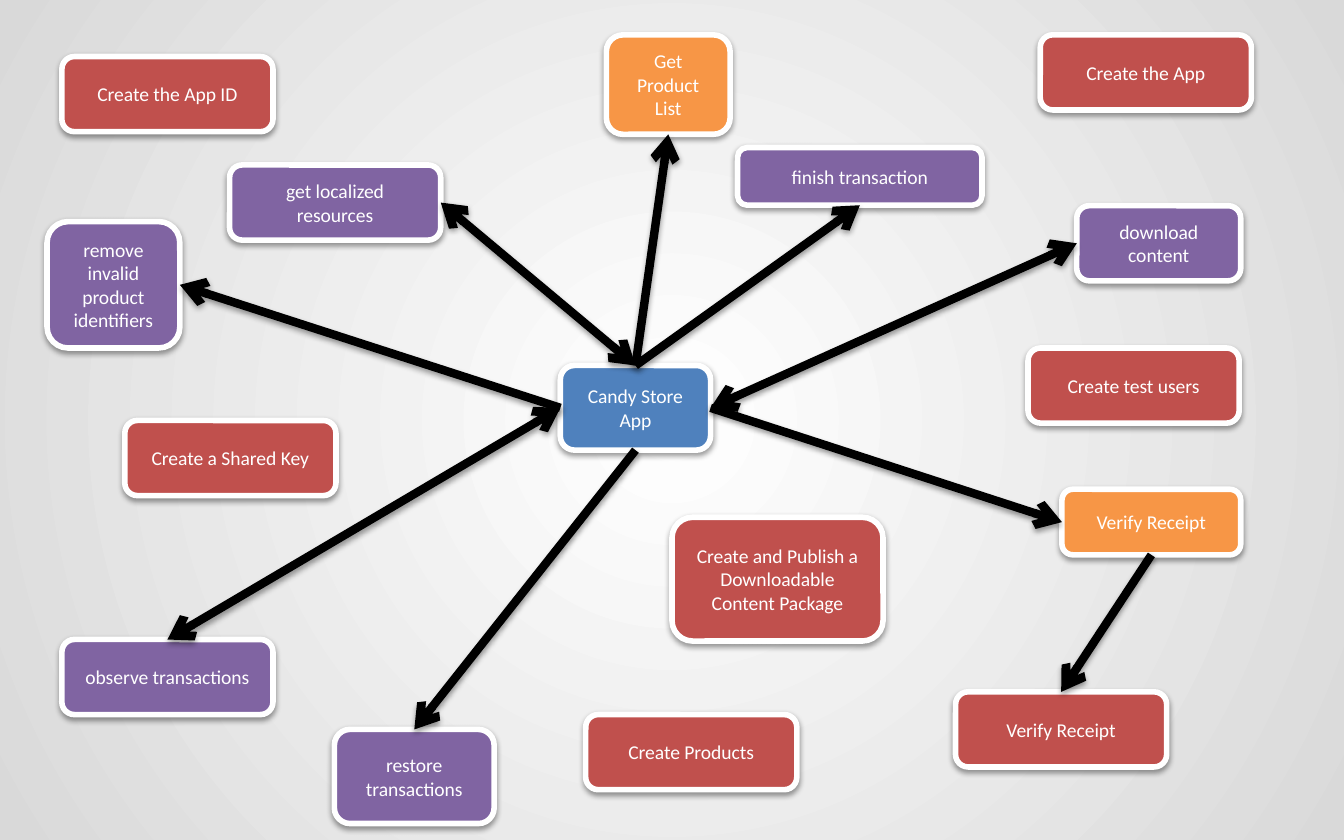
"""Build the in-app purchase mind map slide for the Candy Store app."""
import lxml.etree
import pptx
import pptx.dml.color
import pptx.enum.shapes
import pptx.enum.text
import pptx.oxml
import pptx.oxml.ns
import pptx.util
from dataclasses import dataclass

Cm = pptx.util.Cm
Pt = pptx.util.Pt
qn = pptx.oxml.ns.qn


@dataclass(frozen=True)
class Theme:
    font: str = "Calibri"
    text_size: float = 10.5
    text: str = "FFFFFF"
    outline: str = "FFFFFF"
    outline_width: float = 3
    arrow: str = "000000"
    arrow_width: float = 4.5
    bg_inner: str = "FFFFFF"
    bg_outer: str = "D9D9D9"
    app: str = "4F81BD"
    code: str = "8064A2"
    request: str = "F79646"
    setup: str = "C0504D"


THEME = Theme()
SLIDE_SIZE = (25.4, 15.88)
STANDARD = (3.99, 1.42)
TOP, LEFT, BOTTOM, RIGHT = range(4)

BOXES = {
    "app": ("Candy Store\nApp", THEME.app, (10.59, 6.91), (2.84, 1.6)),
    "observe": ("observe transactions", THEME.code, (1.17, 12.09), STANDARD),
    "products": ("Get Product List", THEME.request, (11.46, 0.66), (2.34, 1.88)),
    "verify": ("Verify Receipt", THEME.request, (20.07, 9.25), (3.38, 1.24)),
    "server": ("Verify Receipt", THEME.setup, (18.06, 13.08), STANDARD),
    "finish": ("finish transaction", THEME.code, (13.94, 2.79), (4.62, 1.09)),
    "restore": ("restore transactions", THEME.code, (6.32, 13.79), (3.02, 1.78)),
    "download": ("download\ncontent", THEME.code, (20.35, 3.89), (3.1, 1.42)),
    "localize": ("get localized resources", THEME.code, (4.34, 3.12), STANDARD),
    "remove": ("remove invalid product identifiers", THEME.code, (0.89, 4.19), (2.51, 2.39)),
    "app_id": ("Create the App ID", THEME.setup, (1.17, 1.07), STANDARD),
    "testers": ("Create test users", THEME.setup, (19.43, 6.58), STANDARD),
    "create_app": ("Create the App", THEME.setup, (19.66, 0.66), STANDARD),
    "shared_key": ("Create a Shared Key", THEME.setup, (2.36, 7.95), STANDARD),
    "create_products": ("Create Products", THEME.setup, (11.07, 13.51), STANDARD),
    "publish": ("Create and Publish a Downloadable Content Package",
                THEME.setup, (12.7, 9.78), (3.99, 2.34)),
}

ARROWS = [
    ("app", RIGHT, "verify", LEFT, False),
    ("verify", BOTTOM, "server", TOP, False),
    ("app", LEFT, "observe", TOP, True),
    ("app", TOP, "finish", BOTTOM, False),
    ("app", TOP, "products", BOTTOM, False),
    ("app", BOTTOM, "restore", TOP, False),
    ("app", RIGHT, "download", LEFT, True),
    ("app", TOP, "localize", RIGHT, True),
    ("app", LEFT, "remove", RIGHT, False),
]

SHADOW = (
    f'<a:effectLst {pptx.oxml.ns.nsdecls("a")}>'
    f'<a:outerShdw blurRad="{Pt(3.1)}" dist="{Pt(1.6)}" dir="5400000" rotWithShape="0">'
    '<a:srgbClr val="000000"><a:alpha val="38000"/></a:srgbClr>'
    '</a:outerShdw></a:effectLst>'
)


def rgb(value):
    return pptx.dml.color.RGBColor.from_string(value)


def add_text(tf, text, *, size, color, font, align):
    tf.word_wrap = True
    tf.vertical_anchor = pptx.enum.text.MSO_ANCHOR.MIDDLE
    for i, line in enumerate(text.split("\n")):
        p = tf.add_paragraph() if i else tf.paragraphs[0]
        p.alignment = align
        r = p.add_run()
        r.text = line
        r.font.size = Pt(size)
        r.font.name = font
        r.font.color.rgb = rgb(color)


def set_line(line, color, width):
    line.color.rgb = rgb(color)
    line.width = Pt(width)


def add_shadow(sp):
    sp.element.spPr.append(pptx.oxml.parse_xml(SHADOW))


def add_box(s, text, color, position, size):
    sp = s.shapes.add_shape(pptx.enum.shapes.MSO_SHAPE.ROUNDED_RECTANGLE,
                            *map(Cm, position + size))
    sp.fill.solid()
    sp.fill.fore_color.rgb = rgb(color)
    set_line(sp.line, THEME.outline, THEME.outline_width)
    add_shadow(sp)
    add_text(sp.text_frame, text, size=THEME.text_size, color=THEME.text,
             font=THEME.font, align=pptx.enum.text.PP_ALIGN.CENTER)
    return sp


def add_arrow(s, start, start_side, end, end_side, both_ways):
    cx = s.shapes.add_connector(pptx.enum.shapes.MSO_CONNECTOR.STRAIGHT, 0, 0, 0, 0)
    cx.begin_connect(start, start_side)
    cx.end_connect(end, end_side)
    set_line(cx.line, THEME.arrow, THEME.arrow_width)
    ln = cx.element.spPr.find(qn("a:ln"))
    for tag in ("a:headEnd", "a:tailEnd") if both_ways else ("a:tailEnd",):
        lxml.etree.SubElement(ln, qn(tag), type="arrow")
    add_shadow(cx)


def set_background(s):
    fill = s.background.fill
    fill.gradient()
    for stop, color in zip(fill.gradient_stops, (THEME.bg_inner, THEME.bg_outer)):
        stop.color.rgb = rgb(color)
    grad = s.element.find(".//" + qn("a:gradFill"))
    grad.remove(grad.find(qn("a:lin")))
    path = lxml.etree.SubElement(grad, qn("a:path"), path="circle")
    lxml.etree.SubElement(path, qn("a:fillToRect"),
                          {side: "50000" for side in "ltrb"})


def main():
    prs = pptx.Presentation()
    prs.slide_width, prs.slide_height = map(Cm, SLIDE_SIZE)
    s = prs.slides.add_slide(prs.slide_layouts[6])
    set_background(s)
    boxes = {name: add_box(s, *box) for name, box in BOXES.items()}
    for start, start_side, end, end_side, both_ways in ARROWS:
        add_arrow(s, boxes[start], start_side, boxes[end], end_side, both_ways)
    prs.save("out.pptx")


if __name__ == "__main__":
    main()
